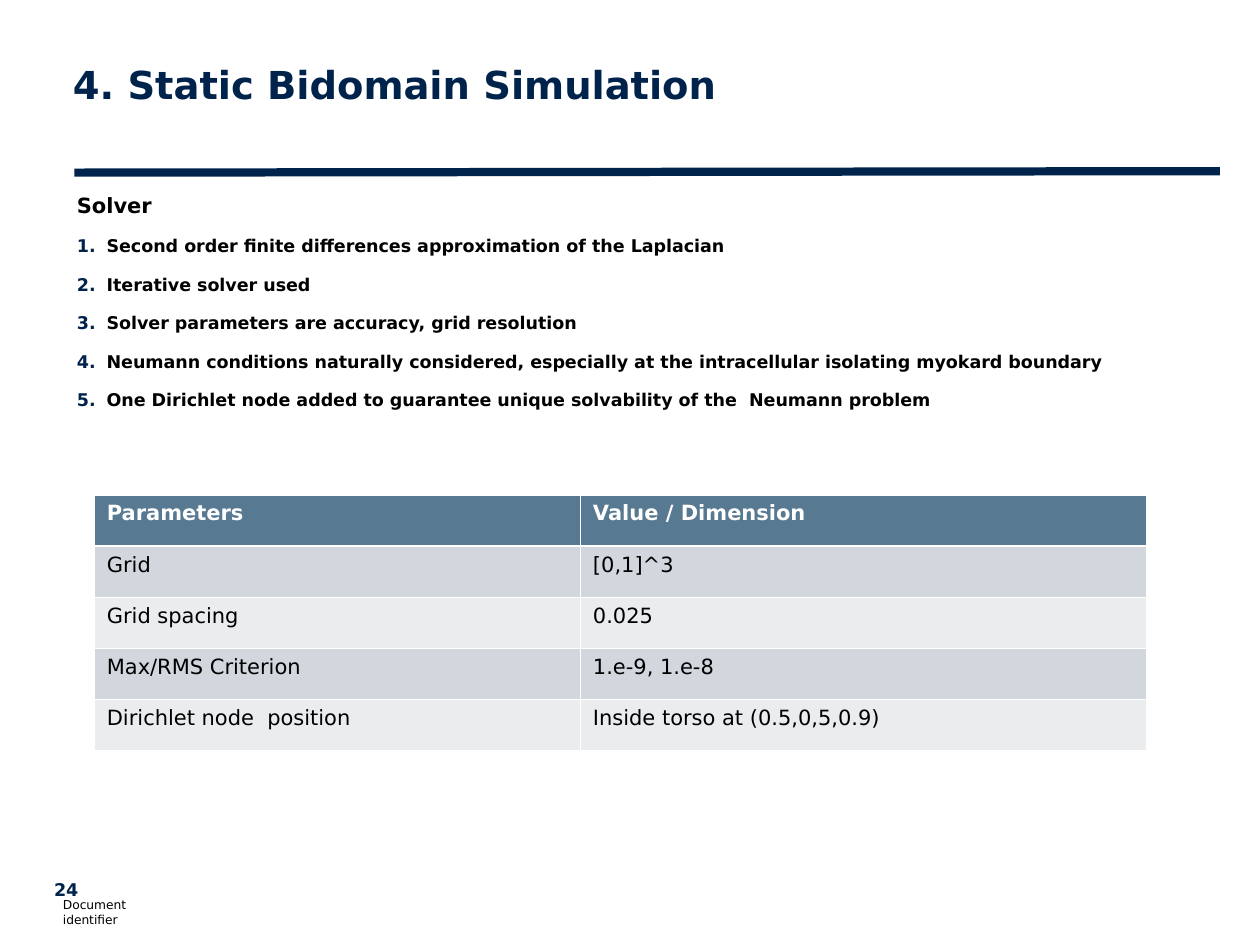
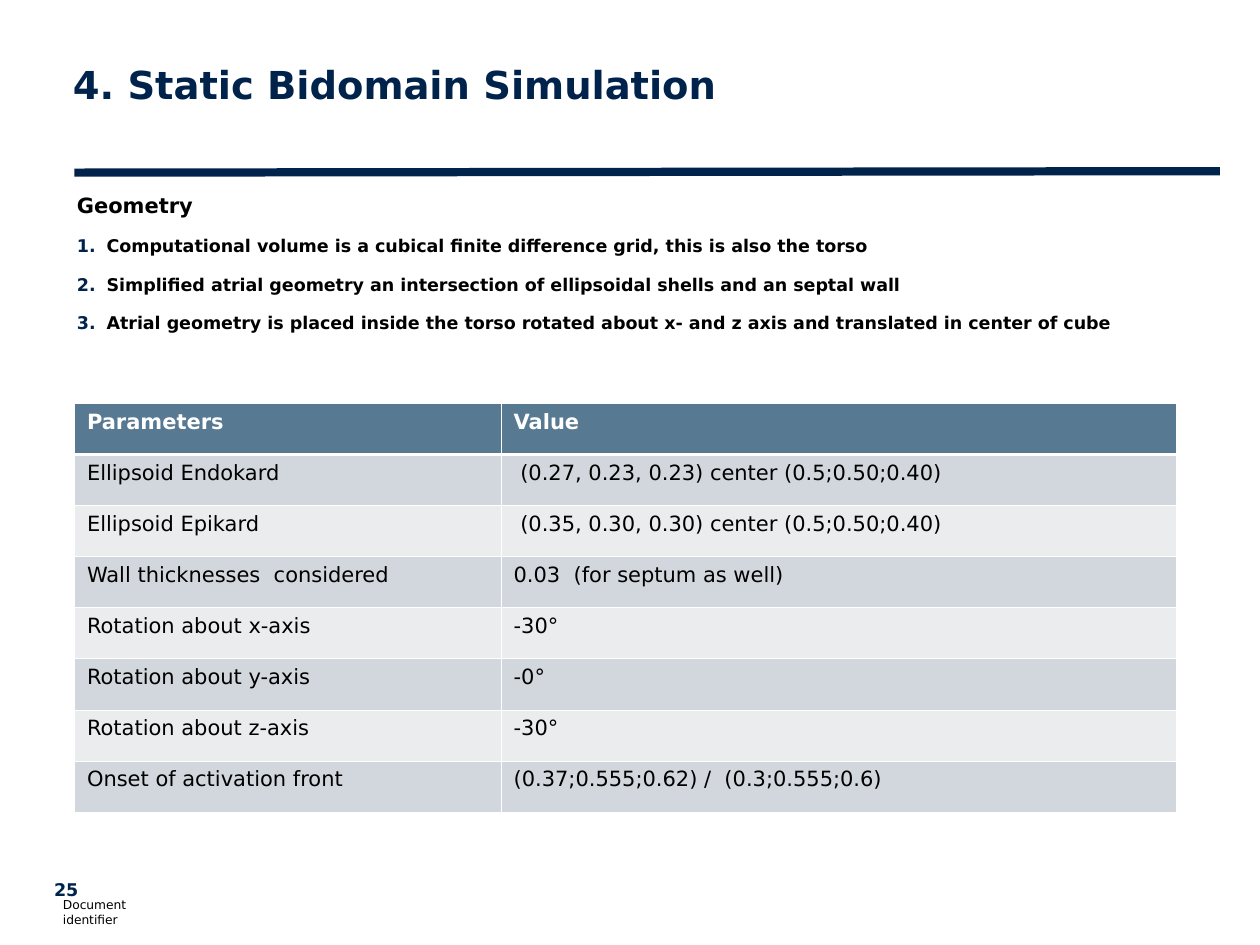
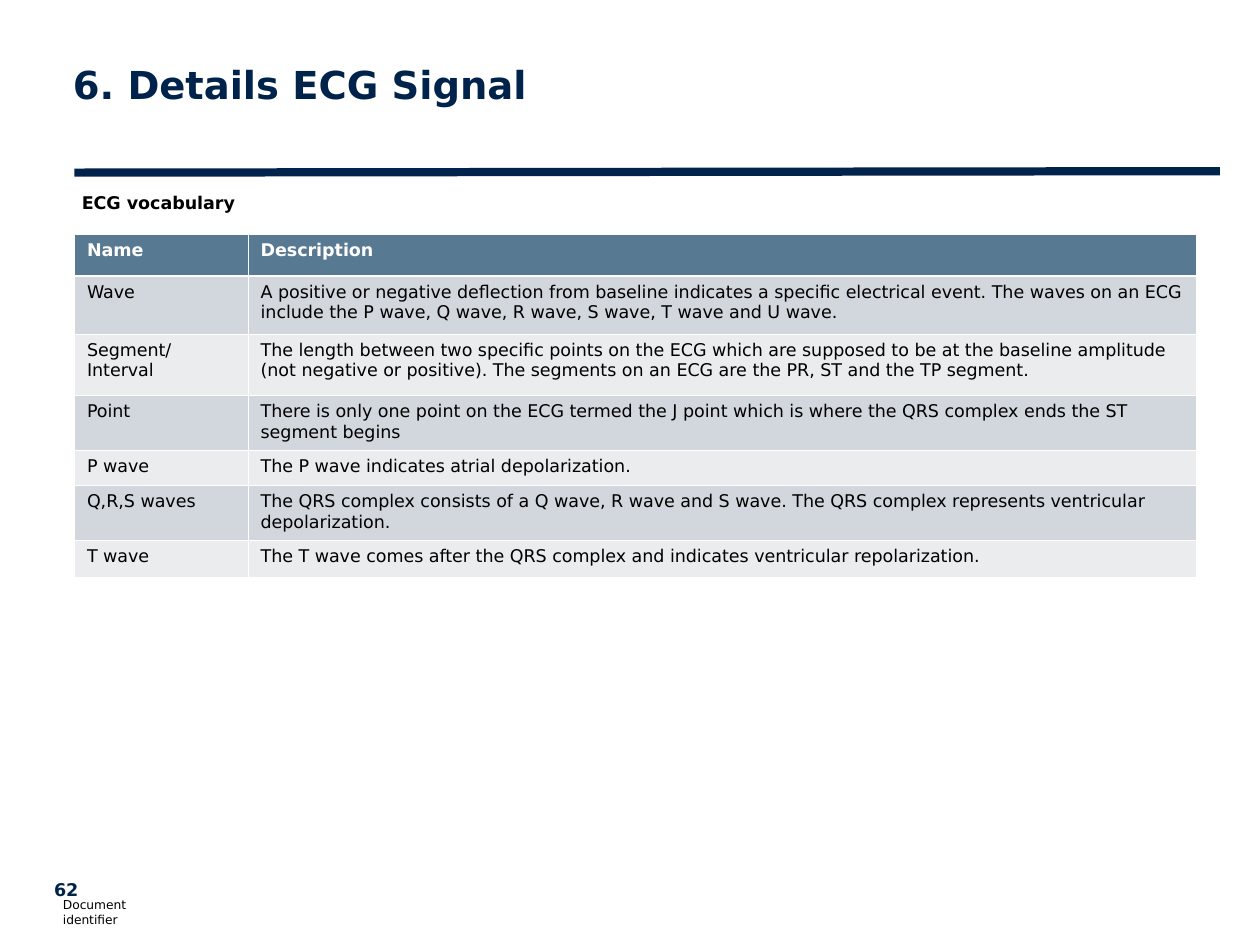
import dataclasses

import pptx
import pptx.dml.color
import pptx.enum.shapes
import pptx.enum.text
import pptx.oxml
import pptx.oxml.ns
import pptx.util

Cm = pptx.util.Cm
Pt = pptx.util.Pt
Anchor = pptx.enum.text.MSO_ANCHOR


@dataclasses.dataclass(frozen=True)
class Theme:
    font: str = "DejaVu Sans"
    navy: str = "00234C"
    black: str = "000000"
    white: str = "FFFFFF"
    header: str = "587992"
    bands: tuple = ("D1D7DC", "EAECEE")
    title_size: float = 22
    large_size: float = 12
    text_size: float = 10
    footer_size: float = 7
    rule_width: float = 4.71
    thin_border: float = 0.45
    thick_border: float = 1.47


THEME = Theme()
FOOTER = "Document identifier"
ROW_HEIGHT = 1.03

# Boxes are (left, top, width, height) in centimetres.
TITLE_BOX = (1.22, 0.71, 20.29, 1.96)
NUMBER_BOX = (1.09, 17.73, 1.8, 0.48)
FOOTER_BOX = (1.27, 18.39, 2.31, 0.3)
RULE = (1.5, 3.48, 24.59, 3.45)

SLIDES = [
    {
        "number": 24,
        "title": "4. Static Bidomain Simulation",
        "heading": "Solver",
        "heading_size": THEME.large_size,
        "body_box": (1.3, 3.73, 23.19, 5.21),
        "points": [
            "Second order finite differences approximation of the Laplacian",
            "Iterative solver used",
            "Solver parameters are accuracy, grid resolution",
            "Neumann conditions naturally considered, especially at the intracellular isolating myokard boundary",
            "One Dirichlet node added to guarantee unique solvability of the  Neumann problem",
        ],
        "table_at": (1.9, 9.98),
        "columns": (9.8, 11.41),
        "table_size": THEME.large_size,
        "rows": [
            ("Parameters", "Value / Dimension"),
            ("Grid", "[0,1]^3"),
            ("Grid spacing", "0.025"),
            ("Max/RMS Criterion", "1.e-9, 1.e-8"),
            ("Dirichlet node  position", "Inside torso at (0.5,0,5,0.9)"),
        ],
    },
    {
        "number": 25,
        "title": "4. Static Bidomain Simulation",
        "heading": "Geometry",
        "heading_size": THEME.large_size,
        "body_box": (1.3, 3.73, 23.19, 3.4),
        "points": [
            "Computational volume is a cubical finite difference grid, this is also the torso",
            "Simplified atrial geometry an intersection of ellipsoidal shells and an septal wall",
            "Atrial geometry is placed inside the torso rotated about x- and z axis and translated in center of cube",
        ],
        "table_at": (1.5, 8.13),
        "columns": (8.6, 13.61),
        "table_size": THEME.large_size,
        "rows": [
            ("Parameters", "Value"),
            ("Ellipsoid Endokard", " (0.27, 0.23, 0.23) center (0.5;0.50;0.40)"),
            ("Ellipsoid Epikard", " (0.35, 0.30, 0.30) center (0.5;0.50;0.40)"),
            ("Wall thicknesses  considered", "0.03  (for septum as well)"),
            ("Rotation about x-axis", "-30°"),
            ("Rotation about y-axis", "-0°"),
            ("Rotation about z-axis", "-30°"),
            ("Onset of activation front", "(0.37;0.555;0.62) /  (0.3;0.555;0.6)"),
        ],
    },
    {
        "number": 62,
        "title": "6. Details ECG Signal",
        "heading": "ECG vocabulary",
        "heading_size": THEME.text_size,
        "body_box": (1.4, 3.73, 22.61, 0.79),
        "points": [],
        "table_at": (1.5, 4.72),
        "columns": (3.5, 19.11),
        "table_size": THEME.text_size,
        "row_heights": (0.84, 1.17, 1.24, 1.09, 0.71, 1.09, 0.76),
        "rows": [
            ("Name", "Description"),
            ("Wave", "A positive or negative deflection from baseline indicates a specific electrical event. "
                     "The waves on an ECG include the P wave, Q wave, R wave, S wave, T wave and U wave."),
            ("Segment/\nInterval", "The length between two specific points on the ECG which are supposed to be at the "
                                   "baseline amplitude (not negative or positive). The segments on an ECG are the PR, "
                                   "ST and the TP segment."),
            ("Point", "There is only one point on the ECG termed the J point which is where the QRS complex "
                      "ends the ST segment begins"),
            ("P wave", "The P wave indicates atrial depolarization."),
            ("Q,R,S waves", "The QRS complex consists of a Q wave, R wave and S wave. "
                            "The QRS complex represents ventricular depolarization."),
            ("T wave", "The T wave comes after the QRS complex and indicates ventricular repolarization."),
        ],
    },
]


def rgb(value):
    return pptx.dml.color.RGBColor.from_string(value)


def xml(markup):
    """Parse one DrawingML element whose start tag carries a {ns} mark."""
    return pptx.oxml.parse_xml(markup.replace("{ns}", pptx.oxml.ns.nsdecls("a")))


def number_paragraph(paragraph):
    properties = paragraph._p.get_or_add_pPr()
    properties.set("marL", str(Cm(0.6)))
    properties.set("indent", str(-Cm(0.6)))
    properties.append(xml(f'<a:buClr {{ns}}><a:srgbClr val="{THEME.navy}"/></a:buClr>'))
    properties.append(xml('<a:buAutoNum {ns} type="arabicPeriod"/>'))


def write(frame, text, size=THEME.text_size, color=THEME.black, bold=False,
          numbered=False, line_spacing=None, space_before=None):
    """Fill an empty frame, or add to a filled one; each line is a paragraph."""
    for line in text.split("\n"):
        paragraph = frame.add_paragraph() if frame.text else frame.paragraphs[0]
        if numbered:
            number_paragraph(paragraph)
        paragraph.line_spacing = line_spacing
        paragraph.space_before = space_before
        run = paragraph.add_run()
        run.text = line
        run.font.name = THEME.font
        run.font.size = Pt(size)
        run.font.bold = bold
        run.font.color.rgb = rgb(color)


def add_frame(slide, box, anchor=Anchor.TOP, inset=True):
    frame = slide.shapes.add_textbox(*map(Cm, box)).text_frame
    frame.word_wrap = True
    frame.vertical_anchor = anchor
    if not inset:
        frame.margin_left = frame.margin_top = frame.margin_right = frame.margin_bottom = 0
    return frame


def add_shared_parts(slide, title, number):
    write(add_frame(slide, NUMBER_BOX, inset=False), str(number), color=THEME.navy, bold=True)
    write(add_frame(slide, FOOTER_BOX, Anchor.BOTTOM, inset=False), FOOTER, size=THEME.footer_size)
    rule = slide.shapes.add_connector(pptx.enum.shapes.MSO_CONNECTOR.STRAIGHT, *map(Cm, RULE))
    rule.line.color.rgb = rgb(THEME.navy)
    rule.line.width = Pt(THEME.rule_width)
    rule._element.spPr.append(xml("<a:effectLst {ns}/>"))
    write(add_frame(slide, TITLE_BOX, Anchor.MIDDLE), title,
          size=THEME.title_size, color=THEME.navy, bold=True)


def add_body(slide, content):
    frame = add_frame(slide, content["body_box"])
    write(frame, content["heading"], size=content["heading_size"], bold=True, line_spacing=1.05)
    for point in content["points"]:
        write(frame, point, bold=True, numbered=True, line_spacing=1.05, space_before=Pt(9.4))


def set_borders(cell, top, bottom):
    sides = {"L": THEME.thin_border, "R": THEME.thin_border, "T": top, "B": bottom}
    for position, (side, width) in enumerate(sides.items()):
        cell._tc.get_or_add_tcPr().insert(position, xml(
            f'<a:ln{side} {{ns}} w="{Pt(width)}"><a:solidFill>'
            f'<a:srgbClr val="{THEME.white}"/></a:solidFill></a:ln{side}>'))


def add_data_table(slide, content):
    rows, columns = content["rows"], content["columns"]
    heights = content.get("row_heights", [ROW_HEIGHT] * len(rows))
    left, top = content["table_at"]
    table = slide.shapes.add_table(len(rows), len(columns), Cm(left), Cm(top),
                                   Cm(sum(columns)), Cm(sum(heights))).table
    table.horz_banding = False
    for column, width in zip(table.columns, columns):
        column.width = Cm(width)
    for row_index, (row, height) in enumerate(zip(rows, heights)):
        table.rows[row_index].height = Cm(height)
        is_header = row_index == 0
        fill = THEME.header if is_header else THEME.bands[(row_index - 1) % 2]
        for column_index, text in enumerate(row):
            cell = table.cell(row_index, column_index)
            cell.fill.solid()
            cell.fill.fore_color.rgb = rgb(fill)
            set_borders(cell,
                        top=THEME.thick_border if row_index == 1 else THEME.thin_border,
                        bottom=THEME.thick_border if is_header else THEME.thin_border)
            write(cell.text_frame, text, size=content["table_size"], bold=is_header,
                  color=THEME.white if is_header else THEME.black)


def main():
    presentation = pptx.Presentation()
    presentation.slide_width = Cm(25.4)
    presentation.slide_height = Cm(19.05)
    for content in SLIDES:
        slide = presentation.slides.add_slide(presentation.slide_layouts[6])
        add_shared_parts(slide, content["title"], content["number"])
        add_body(slide, content)
        add_data_table(slide, content)
    presentation.save("out.pptx")


if __name__ == "__main__":
    main()
